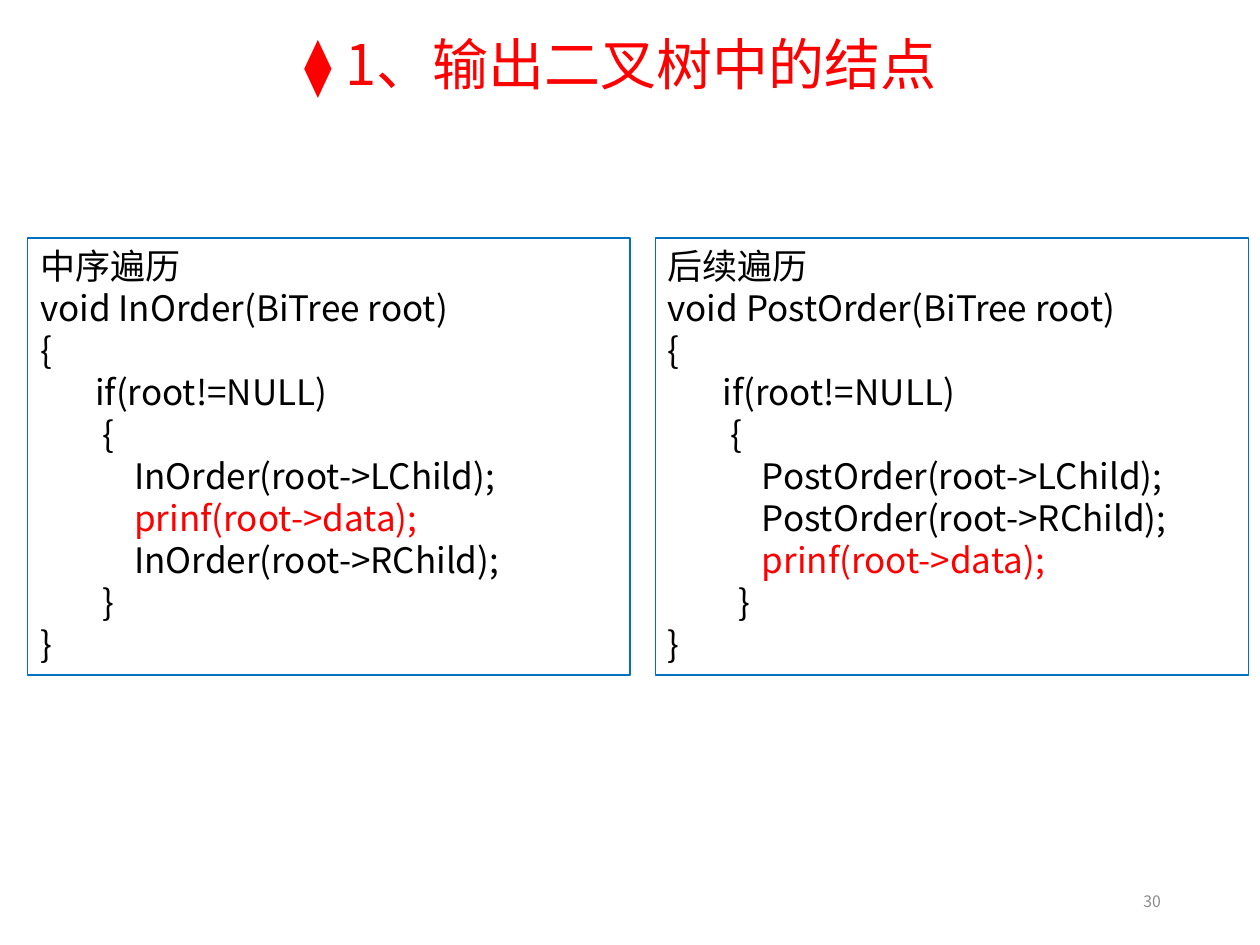
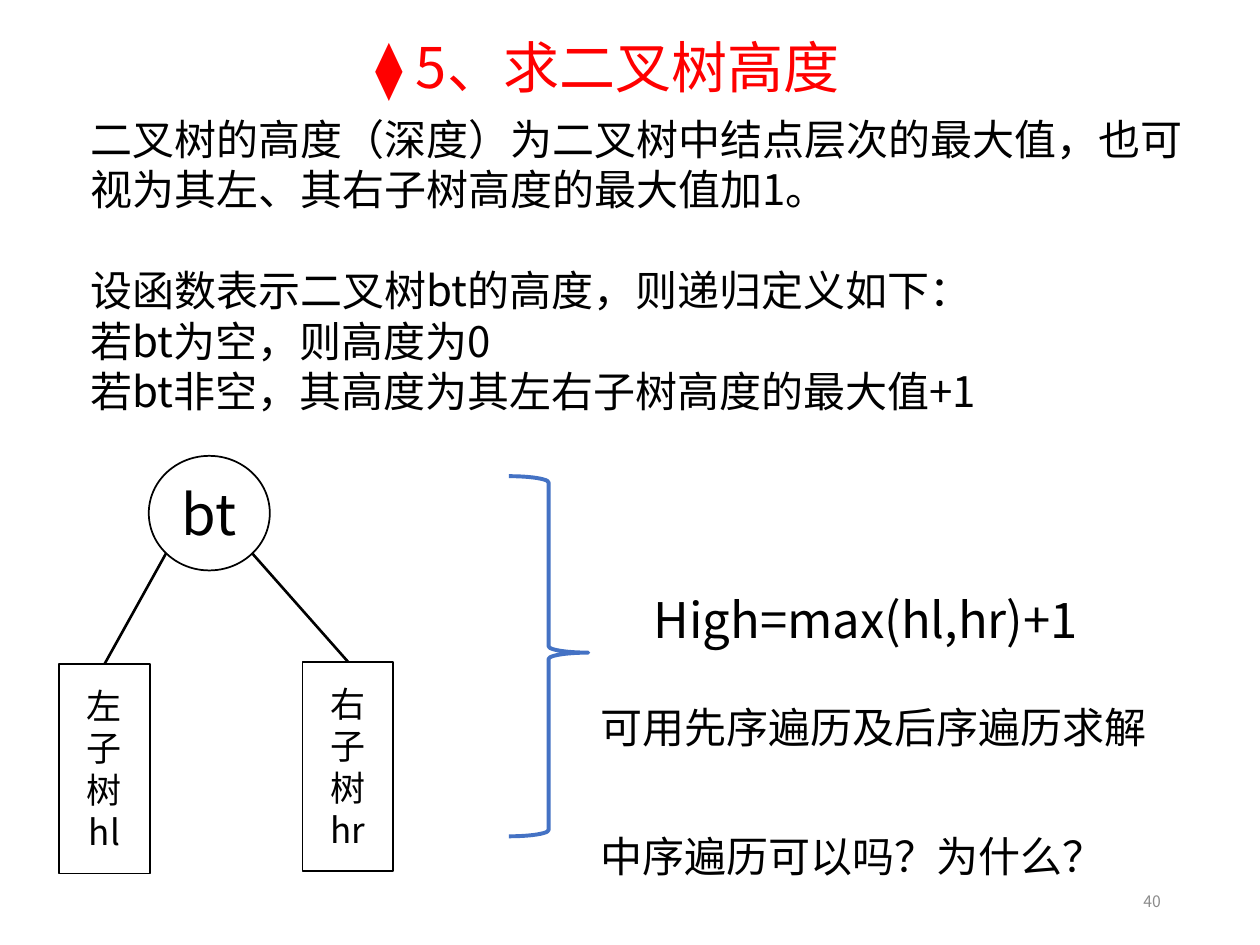
from typing import NamedTuple, Optional

from pptx import Presentation
from pptx.dml.color import RGBColor
from pptx.enum.shapes import MSO_CONNECTOR, MSO_SHAPE
from pptx.enum.text import MSO_ANCHOR as Anchor, MSO_AUTO_SIZE, PP_ALIGN as Align
from pptx.oxml.ns import qn
from pptx.util import Cm, Pt

FONT = "Noto Sans CJK SC"
RED = RGBColor(0xFF, 0x00, 0x00)
BLACK = RGBColor(0x00, 0x00, 0x00)
WHITE = RGBColor(0xFF, 0xFF, 0xFF)
GREY = RGBColor(0x8C, 0x8C, 0x8C)
CODE_BORDER = RGBColor(0x00, 0x70, 0xC0)
BRACE_BLUE = RGBColor(0x44, 0x72, 0xC4)

LAYOUT_TEXT, LAYOUT_TITLE_ONLY = 1, 5


class Box(NamedTuple):
    """Left, top, width and height in centimetres."""
    left: float
    top: float
    width: float
    height: float

    def lengths(self):
        return [Cm(value) for value in self]


class Listing(NamedTuple):
    box: Box
    code: str


class Subtree(NamedTuple):
    box: Box
    label: str
    branch_x: float


PAGE_NUMBER_BOX = Box(17.93, 17.65, 5.72, 1.02)

LISTINGS = [
    Listing(Box(0.56, 4.8, 12.14, 8.81), """中序遍历
void InOrder(BiTree root)
{
       if(root!=NULL)
        {
            InOrder(root->LChild);
            prinf(root->data);
            InOrder(root->RChild);
        }
}"""),
    Listing(Box(13.21, 4.8, 11.96, 8.81), """后续遍历
void PostOrder(BiTree root)
{
       if(root!=NULL)
        {
            PostOrder(root->LChild);
            PostOrder(root->RChild);
            prinf(root->data);
         }
}"""),
]

DEFINITION = """二叉树的高度（深度）为二叉树中结点层次的最大值，也可视为其左、其右子树高度的最大值加1。
设函数表示二叉树bt的高度，则递归定义如下：
若bt为空，则高度为0
若bt非空，其高度为其左右子树高度的最大值+1"""

ROOT_BOX = Box(3, 9.19, 2.44, 2.31)
BRANCH_TOP = 11.15
SUBTREES = [
    Subtree(Box(1.19, 13.39, 1.83, 4.22), "左\n子\n树\nhl", 3.35),
    Subtree(Box(6.1, 13.34, 1.83, 4.22), "右\n子\n树\nhr", 5.08),
]
BRACE_BOX = Box(10.26, 9.6, 1.6, 7.26)


def write(shape, text: str, *, size: float, color: RGBColor = BLACK,
          align: Align = Align.LEFT, anchor: Anchor = Anchor.TOP,
          line_spacing: Optional[float] = None, highlight: Optional[str] = None) -> None:
    """Fill a shape with one paragraph per line; lines holding highlight turn red."""
    frame = shape.text_frame
    frame.word_wrap = True
    frame.auto_size = MSO_AUTO_SIZE.NONE
    frame.vertical_anchor = anchor
    for number, line in enumerate(text.split("\n")):
        paragraph = frame.add_paragraph() if number else frame.paragraphs[0]
        paragraph.alignment = align
        paragraph.space_before = Pt(0)
        if line_spacing:
            paragraph.line_spacing = line_spacing
        run = paragraph.add_run()
        run.text = line
        run.font.size = Pt(size)
        run.font.color.rgb = RED if highlight and highlight in line else color
        run.font.name = FONT
        east_asian = run.font._element.makeelement(qn("a:ea"), {"typeface": FONT})
        run.font._element.append(east_asian)


def place(shape, box: Box) -> None:
    shape.left, shape.top, shape.width, shape.height = box.lengths()


def add_text(slide, box: Box, text: str, **style) -> None:
    write(slide.shapes.add_textbox(*box.lengths()), text, **style)


def add_outlined(slide, kind: MSO_SHAPE, box: Box, line: RGBColor, width: float,
                 fill: Optional[RGBColor] = None):
    shape = slide.shapes.add_shape(kind, *box.lengths())
    shape.shadow.inherit = False
    shape.line.color.rgb = line
    shape.line.width = Pt(width)
    if fill is None:
        shape.fill.background()
    else:
        shape.fill.solid()
        shape.fill.fore_color.rgb = fill
    return shape


def add_slide(deck, layout: int, title: str, title_box: Box, page: int):
    slide = deck.slides.add_slide(deck.slide_layouts[layout])
    place(slide.shapes.title, title_box)
    write(slide.shapes.title, title, size=32, color=RED, line_spacing=1.5)
    add_text(slide, PAGE_NUMBER_BOX, str(page), size=9, color=GREY,
             align=Align.RIGHT, anchor=Anchor.MIDDLE)
    return slide


def add_definition(slide) -> None:
    body = slide.placeholders[1]
    place(body, Box(1.57, 2.16, 22.71, 7.44))
    write(body, DEFINITION, size=24)
    for paragraph in body.text_frame.paragraphs:
        properties = paragraph._p.get_or_add_pPr()
        properties.set("marL", "0")
        properties.set("indent", "0")
        properties.append(properties.makeelement(qn("a:buNone"), {}))
    body.text_frame.paragraphs[1].space_before = Pt(28.8)


def add_branch(slide, start_x: float, subtree_box) -> None:
    """Join the root's lower edge to the top of a subtree box."""
    branch = slide.shapes.add_connector(MSO_CONNECTOR.STRAIGHT, Cm(start_x), Cm(BRANCH_TOP),
                                        subtree_box.left, subtree_box.top)
    branch.end_connect(subtree_box, 0)
    branch.line.color.rgb = BLACK
    branch.line.width = Pt(1.5)
    properties = branch._element.spPr
    properties.append(properties.makeelement(qn("a:effectLst"), {}))


def add_tree(slide) -> None:
    root = add_outlined(slide, MSO_SHAPE.OVAL, ROOT_BOX, BLACK, 1, WHITE)
    write(root, "bt", size=32, align=Align.CENTER, anchor=Anchor.MIDDLE)
    for subtree in SUBTREES:
        node = add_outlined(slide, MSO_SHAPE.RECTANGLE, subtree.box, BLACK, 1, WHITE)
        write(node, subtree.label, size=20, align=Align.CENTER, anchor=Anchor.MIDDLE)
        add_branch(slide, subtree.branch_x, node)


def build_output_slide(deck) -> None:
    slide = add_slide(deck, LAYOUT_TITLE_ONLY, "⧫ 1、输出二叉树中的结点",
                      Box(5.89, -0.2, 17.27, 2.06), 30)
    for listing in LISTINGS:
        frame = add_outlined(slide, MSO_SHAPE.RECTANGLE, listing.box, CODE_BORDER, 0.75)
        write(frame, listing.code, size=20, highlight="prinf")


def build_height_slide(deck) -> None:
    slide = add_slide(deck, LAYOUT_TEXT, "⧫ 5、求二叉树高度",
                      Box(7.32, -0.15, 13.28, 2.06), 40)
    add_definition(slide)
    add_tree(slide)
    brace = add_outlined(slide, MSO_SHAPE.RIGHT_BRACE, BRACE_BOX, BRACE_BLUE, 2.25)
    brace.adjustments[0] = 0.08
    brace.adjustments[1] = 0.49
    add_text(slide, Box(12.93, 11.76, 11.02, 1.45), "High=max(hl,hr)+1", size=28)
    add_text(slide, Box(11.86, 14.02, 13.16, 1.27), "可用先序遍历及后序遍历求解", size=24)
    add_text(slide, Box(11.86, 16.61, 10.77, 1.27), "中序遍历可以吗？为什么？", size=24)


def main() -> None:
    deck = Presentation()
    deck.slide_width, deck.slide_height = Cm(25.4), Cm(19.05)
    build_output_slide(deck)
    build_height_slide(deck)
    deck.save("out.pptx")


if __name__ == "__main__":
    main()
